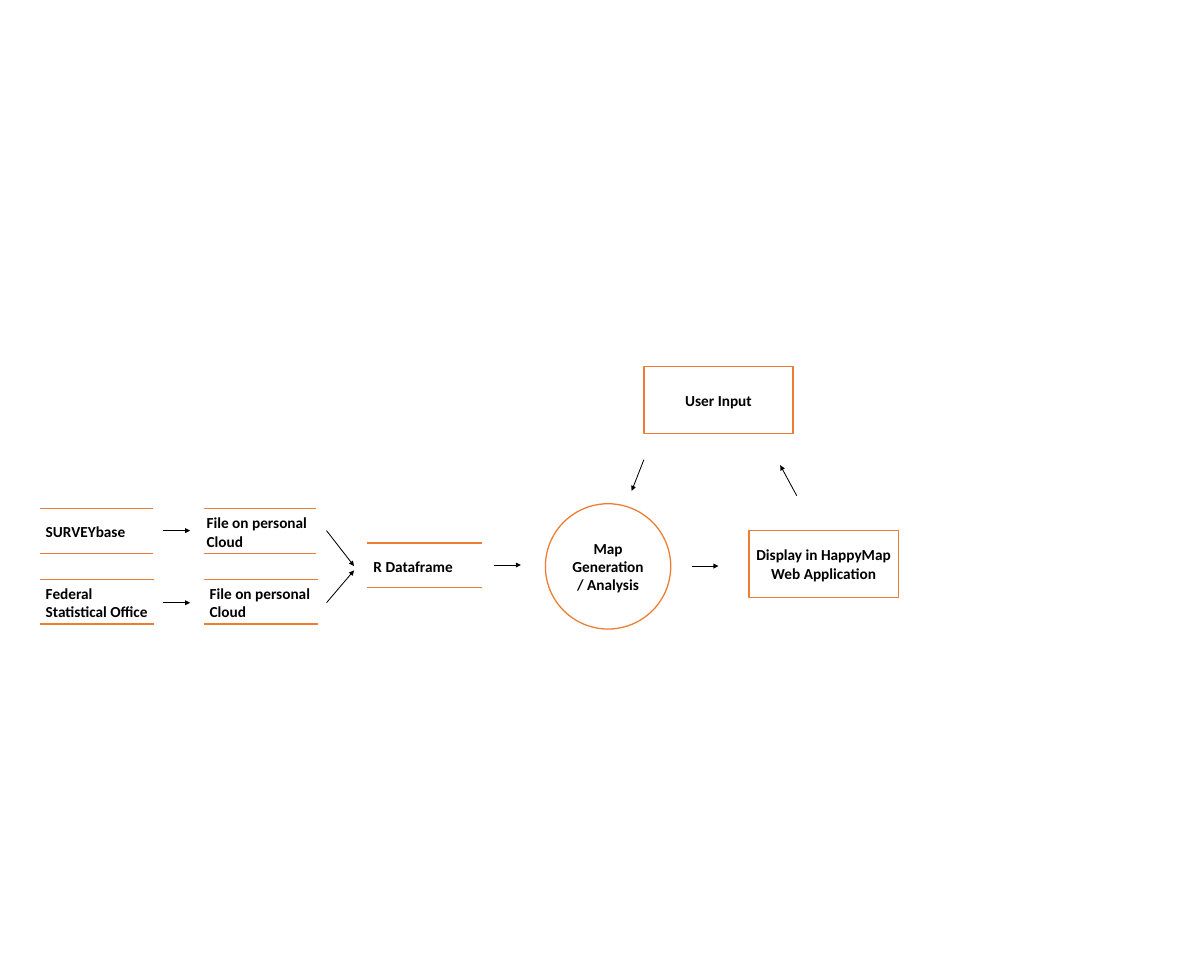
from dataclasses import dataclass

from lxml.etree import SubElement
from pptx import Presentation
from pptx.dml.color import RGBColor
from pptx.enum.shapes import MSO_CONNECTOR, MSO_SHAPE
from pptx.enum.text import MSO_ANCHOR, PP_ALIGN
from pptx.oxml.ns import qn
from pptx.shapes.connector import Connector
from pptx.shapes.shapetree import SlideShapes
from pptx.text.text import TextFrame
from pptx.util import Pt


@dataclass(frozen=True)
class Theme:
    font: str = "Calibri"
    size: float = 18
    ink: RGBColor = RGBColor(0, 0, 0)
    paper: RGBColor = RGBColor(255, 255, 255)
    accent: RGBColor = RGBColor(0xED, 0x7D, 0x31)
    border: float = 1.5
    arrow: float = 1


@dataclass(frozen=True)
class Store:
    left: float
    top: float
    width: float
    lines: tuple[str, ...]
    shift: float = 0


@dataclass(frozen=True)
class Node:
    kind: MSO_SHAPE
    left: float
    top: float
    width: float
    height: float
    lines: tuple[str, ...]


@dataclass(frozen=True)
class Arrow:
    x1: float
    y1: float
    x2: float
    y2: float


THEME = Theme()
STORE_HEIGHT = 52.5
LABEL_WIDTH = 144
LINE_HEIGHT = 22
PADDING = 7

COL_1, COL_2, COL_3 = 46.8, 239.8, 432.7
ROW_1, ROW_2, ROW_MID = 599, 682.6, 639.4
FILE = ("File on personal", "Cloud")

STORES = (
    Store(COL_1, ROW_1, 133.2, ("SURVEYbase",)),
    Store(COL_1, ROW_2, 134.6, ("Federal", "Statistical Office")),
    Store(COL_2, ROW_1, 132.5, FILE, shift=-3.6),
    Store(COL_2, ROW_2, 134.6, FILE),
    Store(COL_3, ROW_MID, 134.6, ("R Dataframe",)),
)

BOX = (175.7, 78.5)
NODES = (
    Node(MSO_SHAPE.OVAL, 642.2, 593.3, 147.6, 147.6,
         ("Map Generation / Analysis",)),
    Node(MSO_SHAPE.RECTANGLE, 882, 625, *BOX,
         ("Display in HappyMap", "Web Application")),
    Node(MSO_SHAPE.RECTANGLE, 758.2, 432, *BOX, ("User Input",)),
)

ARROWS = (
    Arrow(191.5, 625, 223.9, 625),
    Arrow(191.5, 709.9, 223.9, 709.9),
    Arrow(384.5, 625, 416.9, 666.7),
    Arrow(384.5, 709.9, 416.9, 671.8),
    Arrow(581.8, 665.5, 613.4, 665.5),
    Arrow(814.3, 666.7, 846, 666.7),
    Arrow(938.2, 583.9, 918.7, 547.9),
    Arrow(758.2, 541.4, 743.8, 578.2),
)


def write(frame: TextFrame, lines: tuple[str, ...], align: PP_ALIGN) -> None:
    frame.word_wrap = True
    frame.vertical_anchor = MSO_ANCHOR.MIDDLE
    for i, line in enumerate(lines):
        para = frame.add_paragraph() if i else frame.paragraphs[0]
        para.alignment = align
        run = para.add_run()
        run.text = line
        run.font.name = THEME.font
        run.font.size = Pt(THEME.size)
        run.font.bold = True
        run.font.color.rgb = THEME.ink


def add_line(shapes: SlideShapes, span: Arrow, color: RGBColor,
             weight: float) -> Connector:
    line = shapes.add_connector(
        MSO_CONNECTOR.STRAIGHT,
        Pt(span.x1), Pt(span.y1), Pt(span.x2), Pt(span.y2))
    line.line.color.rgb = color
    line.line.width = Pt(weight)
    SubElement(line._element.spPr, qn("a:effectLst"))
    return line


def add_store(shapes: SlideShapes, store: Store) -> None:
    """Draw a data store: a label between two open rules."""
    right = store.left + store.width
    for y in (store.top, store.top + STORE_HEIGHT):
        add_line(shapes, Arrow(store.left, y, right, y),
                 THEME.accent, THEME.border)
    height = LINE_HEIGHT * len(store.lines) + PADDING
    top = store.top + (STORE_HEIGHT - height) / 2 + 1
    label = shapes.add_textbox(Pt(store.left + store.shift), Pt(top),
                               Pt(LABEL_WIDTH), Pt(height))
    write(label.text_frame, store.lines, PP_ALIGN.LEFT)


def add_node(shapes: SlideShapes, node: Node) -> None:
    shape = shapes.add_shape(node.kind, Pt(node.left), Pt(node.top),
                             Pt(node.width), Pt(node.height))
    shape.shadow.inherit = False
    shape.fill.solid()
    shape.fill.fore_color.rgb = THEME.paper
    shape.line.color.rgb = THEME.accent
    shape.line.width = Pt(THEME.border)
    write(shape.text_frame, node.lines, PP_ALIGN.CENTER)


def add_arrow(shapes: SlideShapes, arrow: Arrow) -> None:
    line = add_line(shapes, arrow, THEME.ink, THEME.arrow)
    SubElement(line.line._get_or_add_ln(), qn("a:tailEnd"), type="triangle")


def main() -> None:
    deck = Presentation()
    deck.slide_width, deck.slide_height = Pt(1417.7), Pt(1135.4)
    shapes = deck.slides.add_slide(deck.slide_layouts[6]).shapes
    for store in STORES:
        add_store(shapes, store)
    for node in NODES:
        add_node(shapes, node)
    for arrow in ARROWS:
        add_arrow(shapes, arrow)
    deck.save("out.pptx")


if __name__ == "__main__":
    main()
